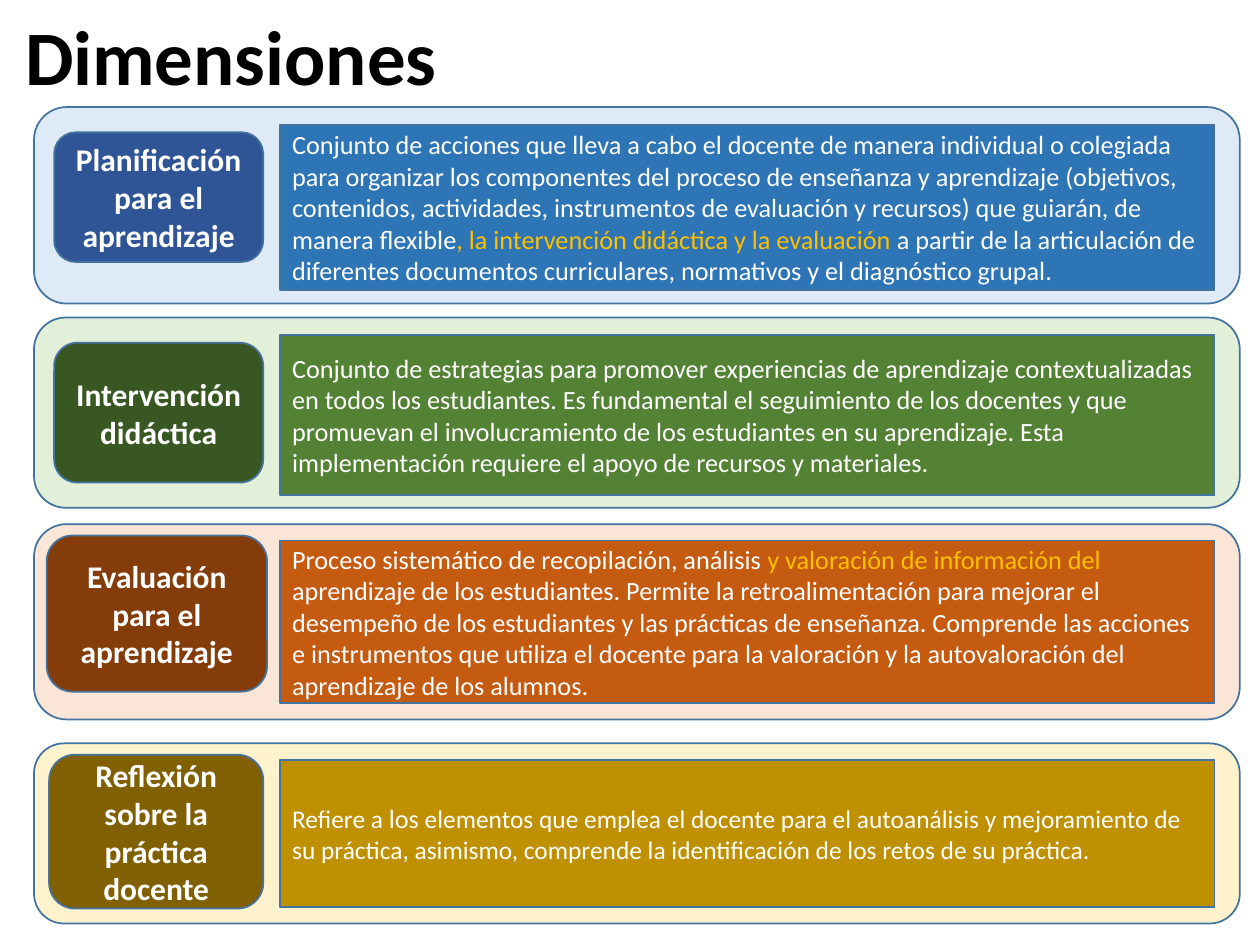
from pptx import Presentation
from pptx.dml.color import RGBColor
from pptx.enum.shapes import MSO_SHAPE
from pptx.enum.text import MSO_ANCHOR, PP_ALIGN
from pptx.util import Inches, Pt

WHITE, GOLD, OUTLINE = "FFFFFF", "FFC000", "43739E"


def add_box(slide, kind, left, top, width, height, fill):
    shape = slide.shapes.add_shape(
        kind, Inches(left), Inches(top), Inches(width), Inches(height))
    shape.shadow.inherit = False
    shape.fill.solid()
    shape.fill.fore_color.rgb = RGBColor.from_string(fill)
    shape.line.color.rgb = RGBColor.from_string(OUTLINE)
    shape.line.width = Pt(1)
    return shape


def write_text(shape, runs, alignment, bold=False):
    """Fill the shape with one paragraph of (text, size, colour) runs."""
    frame = shape.text_frame
    frame.word_wrap = True
    frame.vertical_anchor = MSO_ANCHOR.MIDDLE
    paragraph = frame.paragraphs[0]
    paragraph.alignment = alignment
    for text, size, color in runs:
        run = paragraph.add_run()
        run.text = text
        run.font.name = "Calibri"
        run.font.size = Pt(size)
        run.font.bold = bold
        run.font.color.rgb = RGBColor.from_string(color)
    return paragraph


# Each place is (left, top, width, height); bands and descriptions share left and width.
dimensions = [
    {
        "band": (0.85, 1.56, "DEEBF7"),
        "label": (0.43, 1.05, 1.66, 1.03, "2F5597"),
        "name": "Planificación para el aprendizaje",
        "description": (0.99, 1.31, "2E75B6"),
        "runs": [
            ("Conjunto de acciones que lleva a cabo el docente de manera individual o "
             "colegiada para organizar los componentes del proceso de enseñanza y "
             "aprendizaje (objetivos, contenidos, actividades, instrumentos de "
             "evaluación y recursos) que guiarán, de manera flexible", 15, WHITE),
            (", la intervención didáctica y la evaluación ", 15, GOLD),
            ("a partir de la articulación de diferentes documentos curriculares, "
             "normativos y el diagnóstico grupal.", 15, WHITE),
        ],
    },
    {
        "band": (2.52, 1.51, "E2F0D9"),
        "label": (0.43, 2.72, 1.66, 1.11, "385723"),
        "name": "Intervención didáctica",
        "description": (2.66, 1.27, "548235"),
        "runs": [
            ("Conjunto de estrategias para promover experiencias de aprendizaje "
             "contextualizadas en todos los estudiantes. Es fundamental el "
             "seguimiento de los docentes y que promuevan el involucramiento de los "
             "estudiantes en su aprendizaje. Esta implementación requiere el apoyo "
             "de recursos y materiales.", 15, WHITE),
        ],
    },
    {
        "band": (4.16, 1.55, "FBE5D6"),
        "label": (0.37, 4.25, 1.75, 1.24, "843C0B"),
        "name": "Evaluación para el aprendizaje",
        "description": (4.29, 1.29, "C55A11"),
        "runs": [
            ("Proceso sistemático de recopilación, análisis ", 15, WHITE),
            ("y valoración de información del ", 15, GOLD),
            ("aprendizaje de los estudiantes. Permite la retroalimentación para "
             "mejorar el desempeño de los estudiantes y las prácticas de enseñanza. "
             "Comprende las acciones e instrumentos que utiliza el docente para la "
             "valoración y la autovaloración del aprendizaje de los alumnos.",
             15, WHITE),
        ],
    },
    {
        "band": (5.9, 1.43, "FFF2CC"),
        "label": (0.39, 5.99, 1.7, 1.22, "806000"),
        "name": "Reflexión sobre la práctica docente",
        "description": (6.03, 1.17, "BF9000"),
        "runs": [
            ("Refiere a ", 14.5, WHITE),
            ("los", 15, WHITE),
            (" elementos que emplea el docente para el autoanálisis y mejoramiento "
             "de su práctica, asimismo, comprende la identificación de los retos de "
             "su práctica.", 14.5, WHITE),
        ],
    },
]

presentation = Presentation()
presentation.slide_width = Inches(10)
presentation.slide_height = Inches(7.5)
slide = presentation.slides.add_slide(presentation.slide_layouts[6])

title = slide.shapes.add_textbox(Inches(0.1), Inches(0.02), Inches(8.62), Inches(0.92))
title_paragraph = write_text(
    title, [("Dimensiones", 44, "000000")], PP_ALIGN.LEFT, bold=True)
title_paragraph.line_spacing = 0.9

for dimension in dimensions:
    top, height, fill = dimension["band"]
    add_box(slide, MSO_SHAPE.ROUNDED_RECTANGLE, 0.27, top, 9.57, height, fill)

    label = add_box(slide, MSO_SHAPE.ROUNDED_RECTANGLE, *dimension["label"])
    write_text(label, [(dimension["name"], 18, WHITE)], PP_ALIGN.CENTER, bold=True)

    top, height, fill = dimension["description"]
    description = add_box(slide, MSO_SHAPE.RECTANGLE, 2.22, top, 7.42, height, fill)
    write_text(description, dimension["runs"], PP_ALIGN.LEFT)

presentation.save("out.pptx")
